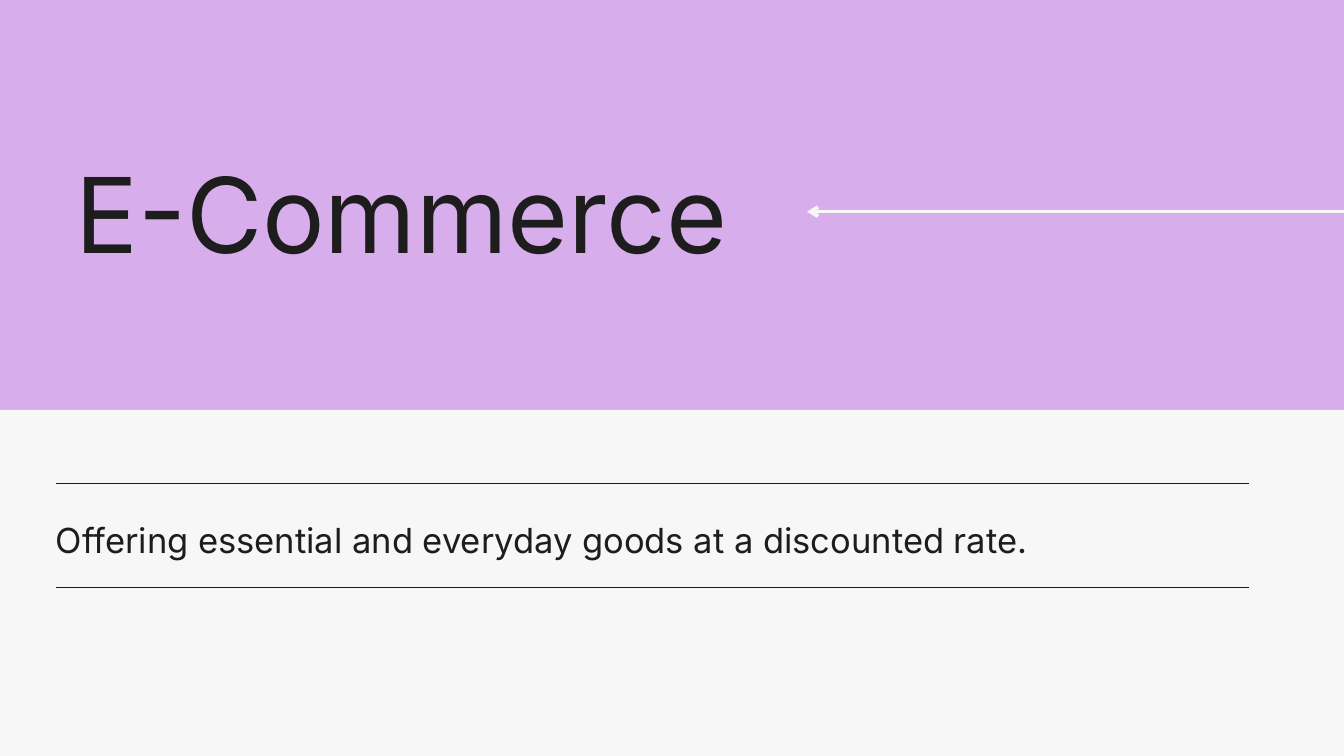
from lxml import etree
from pptx import Presentation
from pptx.dml.color import RGBColor
from pptx.enum.shapes import MSO_CONNECTOR, MSO_SHAPE
from pptx.oxml.ns import qn
from pptx.util import Inches, Pt

LILAC = RGBColor(0xD7, 0xAD, 0xEB)
OFF_WHITE = RGBColor(0xF8, 0xF7, 0xF7)
INK = RGBColor(0x1E, 0x1D, 0x1D)
FONT = "Inter"
SLIDE_WIDTH, SLIDE_HEIGHT = 20, 11.25
HEADER_HEIGHT = 6.1


def add_text(slide, text, left, top, width, height, *, size, line_spacing,
             color=INK, font=FONT):
    text_box = slide.shapes.add_textbox(
        Inches(left), Inches(top), Inches(width), Inches(height))
    frame = text_box.text_frame
    frame.word_wrap = True
    frame.margin_left = frame.margin_right = 0
    frame.margin_top = frame.margin_bottom = 0
    paragraph = frame.paragraphs[0]
    paragraph.line_spacing = Pt(line_spacing)
    run = paragraph.add_run()
    run.text = text
    run.font.name = font
    run.font.size = Pt(size)
    run.font.color.rgb = color


def add_line(slide, start_x, end_x, y, *, color, width, arrow=False):
    connector = slide.shapes.add_connector(
        MSO_CONNECTOR.STRAIGHT,
        Inches(start_x), Inches(y), Inches(end_x), Inches(y))
    connector.line.color.rgb = color
    connector.line.width = Pt(width)
    if arrow:
        etree.SubElement(connector.line._get_or_add_ln(), qn("a:tailEnd"),
                         type="arrow")
    etree.SubElement(connector._element.spPr, qn("a:effectLst"))


def add_header(slide, left, top, width, height):
    # Title, with an arrow pointing to it from the right edge
    add_text(slide, "E-Commerce", left + 1.12, top + 2.21, 10.88, 1.88,
             size=112, line_spacing=134.4)
    add_line(slide, left + width, left + 12.01, top + height / 2 + 0.1,
             color=OFF_WHITE, width=3.75, arrow=True)


def add_description(slide, left, top, width, height):
    # Light panel
    panel = slide.shapes.add_shape(
        MSO_SHAPE.RECTANGLE,
        Inches(left), Inches(top), Inches(width), Inches(height))
    panel.shadow.inherit = False
    panel.fill.solid()
    panel.fill.fore_color.rgb = OFF_WHITE
    panel.line.fill.background()

    # Statement between two rules
    text_left, text_width = left + 0.83, 17.75
    add_text(slide, "Offering essential and everyday goods at a discounted rate.",
             text_left, top + 1.52, text_width, 0.68,
             size=37, line_spacing=51.8)
    for offset in (1.09, 2.64):
        add_line(slide, text_left, text_left + text_width, top + offset,
                 color=INK, width=1)


def main():
    presentation = Presentation()
    presentation.slide_width = Inches(SLIDE_WIDTH)
    presentation.slide_height = Inches(SLIDE_HEIGHT)
    slide = presentation.slides.add_slide(presentation.slide_layouts[6])
    slide.background.fill.solid()
    slide.background.fill.fore_color.rgb = LILAC

    add_header(slide, 0, 0, SLIDE_WIDTH, HEADER_HEIGHT)
    add_description(slide, 0, HEADER_HEIGHT, SLIDE_WIDTH,
                    SLIDE_HEIGHT - HEADER_HEIGHT)
    presentation.save("out.pptx")


if __name__ == "__main__":
    main()
